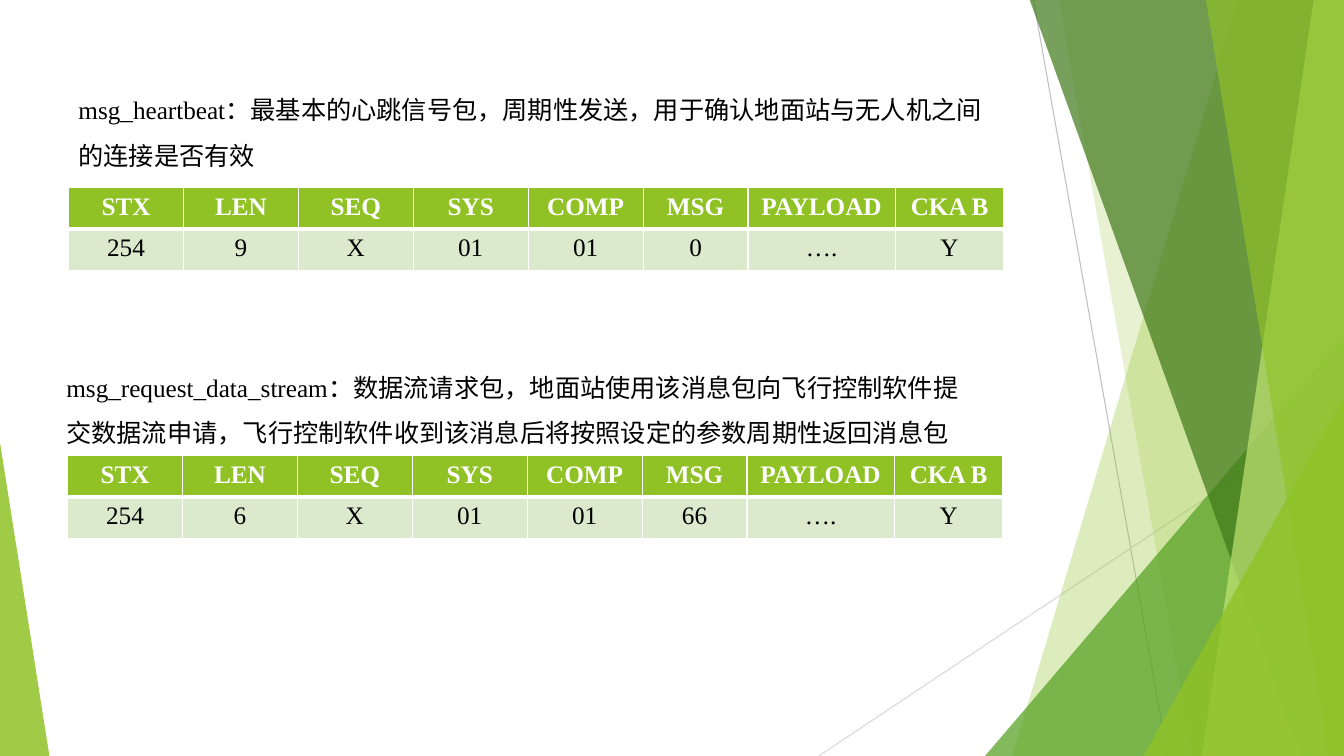
from lxml.etree import SubElement
from pptx import Presentation
from pptx.dml.color import RGBColor
from pptx.enum.shapes import MSO_CONNECTOR, MSO_SHAPE
from pptx.enum.text import MSO_AUTO_SIZE, PP_ALIGN
from pptx.oxml.ns import qn
from pptx.util import Inches, Pt

WHITE = RGBColor(0xFF, 0xFF, 0xFF)
BLACK = RGBColor(0, 0, 0)
GREEN = RGBColor(0x90, 0xC2, 0x26)
LEAF = RGBColor(0x54, 0xA0, 0x21)
DARK = RGBColor(0x3F, 0x78, 0x19)
LIME = RGBColor(0xC0, 0xE4, 0x74)
PALE = RGBColor(0xDB, 0xE9, 0xCD)
GREY = RGBColor(0xBF, 0xBF, 0xBF)
MIST = RGBColor(0xD9, 0xD9, 0xD9)

WIDTH, HEIGHT = 13.33, 7.5
TOP = -0.01
COLS = [1.14] * 5 + [1.04, 1.46, 1.08]
ROW = 0.41
HEAD = ["STX", "LEN", "SEQ", "SYS", "COMP", "MSG", "PAYLOAD", "CKA B"]


class Deck:
    """Holds the text style and the current slide, and adds elements to it."""

    def __init__(self, slide, font="Times New Roman", size=18):
        self.shapes = slide.shapes
        self.font = font
        self.size = Pt(size)

    def style(self, par, color, bold=False):
        for run in par.runs:
            run.font.name = self.font
            run.font.size = self.size
            run.font.bold = bold
            run.font.color.rgb = color

    def paint(self, shape, color, alpha):
        shape.shadow.inherit = False
        shape.fill.solid()
        shape.fill.fore_color.rgb = color
        shape.line.fill.background()
        tint = shape.element.xpath("./p:spPr/a:solidFill/a:srgbClr")[0]
        SubElement(tint, qn("a:alpha"), val=str(alpha * 1000))

    def line(self, start, end, color):
        ends = [Inches(n) for n in (*start, *end)]
        line = self.shapes.add_connector(MSO_CONNECTOR.STRAIGHT, *ends)
        line.line.color.rgb = color
        line.line.width = Pt(0.75)
        SubElement(line.element.spPr, qn("a:effectLst"))

    def band(self, upper, lower, color, alpha):
        form = self.shapes.build_freeform(Inches(upper), Inches(TOP))
        points = [(WIDTH, TOP), (WIDTH, HEIGHT), (lower, HEIGHT)]
        form.add_line_segments([(Inches(x), Inches(y)) for x, y in points])
        self.paint(form.convert_to_shape(), color, alpha)

    def wedge(self, left, top, width, apex, color, alpha):
        box = [Inches(n) for n in (left, top, width, HEIGHT - top)]
        shape = self.shapes.add_shape(MSO_SHAPE.ISOSCELES_TRIANGLE, *box)
        shape.adjustments[0] = apex
        self.paint(shape, color, alpha)

    def text(self, left, top, words):
        box = self.shapes.add_textbox(
            Inches(left), Inches(top), Inches(9.28), Inches(0.96))
        frame = box.text_frame
        frame.word_wrap = True
        frame.auto_size = MSO_AUTO_SIZE.SHAPE_TO_FIT_TEXT
        frame.text = words
        par = frame.paragraphs[0]
        par.line_spacing = 1.5
        self.style(par, BLACK)

    def edge(self, cell, side, width):
        props = cell._tc.get_or_add_tcPr()
        line = SubElement(props, qn("a:" + side), w=str(Pt(width)))
        fill = SubElement(line, qn("a:solidFill"))
        SubElement(fill, qn("a:srgbClr"), val=str(WHITE))

    def table(self, left, top, values):
        frame = self.shapes.add_table(
            2, len(COLS), Inches(left), Inches(top),
            Inches(sum(COLS)), Inches(2 * ROW))
        table = frame.table
        for col, width in zip(table.columns, COLS):
            col.width = Inches(width)
        looks = [(HEAD, GREEN, WHITE, True, 1, 3),
                 (values, PALE, BLACK, False, 3, 1)]
        for r, (words, back, ink, bold, above, below) in enumerate(looks):
            table.rows[r].height = Inches(ROW)
            sides = {"lnL": 1, "lnR": 1, "lnT": above, "lnB": below}
            for c, word in enumerate(words):
                cell = table.cell(r, c)
                for side, width in sides.items():
                    self.edge(cell, side, width)
                cell.fill.solid()
                cell.fill.fore_color.rgb = back
                par = cell.text_frame.paragraphs[0]
                par.text = word
                par.alignment = PP_ALIGN.CENTER
                self.style(par, ink, bold)


def main():
    """Builds the message packet slide."""
    show = Presentation()
    show.slide_width = Inches(WIDTH)
    show.slide_height = Inches(HEIGHT)
    deck = Deck(show.slides.add_slide(show.slide_layouts[6]))

    deck.line((10.25, 0), (11.58, HEIGHT), GREY)
    deck.line((WIDTH, 4.03), (8.12, HEIGHT), MIST)
    deck.band(12.28, 10.04, GREEN, 30)
    deck.band(10.5, 11.83, GREEN, 20)
    deck.wedge(9.77, 3.33, 3.56, 1, LEAF, 72)
    deck.band(10.21, 12.91, DARK, 70)
    deck.band(13.03, 11.92, LIME, 70)
    deck.band(11.96, 13.18, GREEN, 65)
    deck.wedge(11.34, 3.93, 1.99, 1, GREEN, 80)
    deck.wedge(0, 4.39, 0.49, 0, GREEN, 85)

    deck.table(0.68, 1.86, ["254", "9", "X", "01", "01", "0", "….", "Y"])
    deck.text(0.68, 0.74, "msg_heartbeat：最基本的心跳信号包，周期性发送，"
              "用于确认地面站与无人机之间的连接是否有效")
    deck.table(0.67, 4.52, ["254", "6", "X", "01", "01", "66", "….", "Y"])
    deck.text(0.56, 3.49, "msg_request_data_stream：数据流请求包，"
              "地面站使用该消息包向飞行控制软件提交数据流申请，"
              "飞行控制软件收到该消息后将按照设定的参数周期性返回消息包")
    show.save("out.pptx")


if __name__ == "__main__":
    main()
